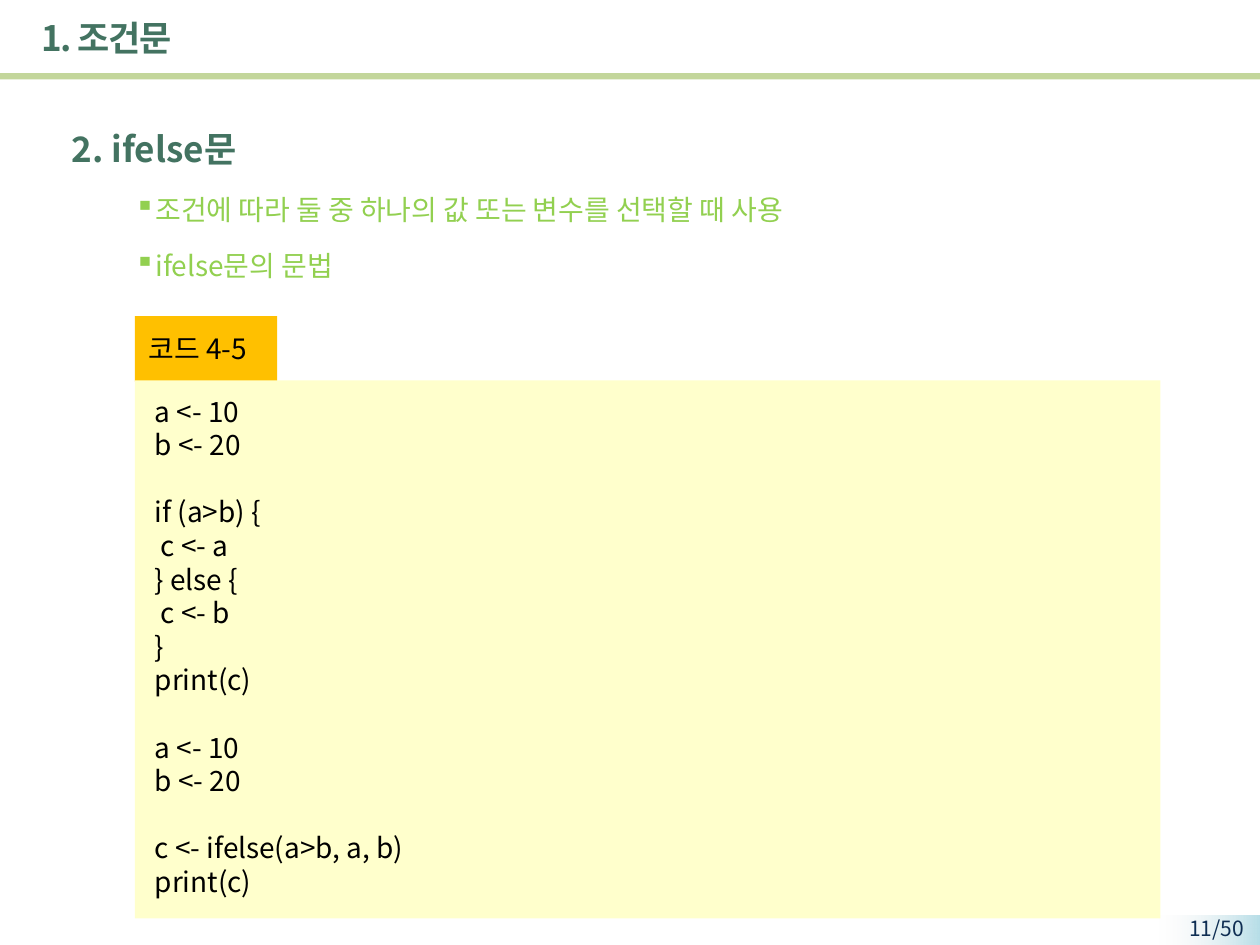
from dataclasses import dataclass

from pptx import Presentation
from pptx import util as u
from pptx.dml.color import RGBColor
from pptx.enum import shapes, text
from pptx.oxml import ns, xmlchemy


@dataclass(frozen=True)
class Theme:
    font: str = "Noto Sans CJK KR"
    head: str = "437361"
    point: str = "92D050"
    ink: str = "000000"
    page: str = "0F2E53"
    rule: str = "C3D69B"
    label: str = "FFC000"
    code: str = "FFFFCC"
    fade: tuple = ("B7DEE8", "F2F2F2")
    big: int = 20
    mid: int = 16
    small: int = 12


@dataclass(frozen=True)
class Box:
    left: float
    top: float
    width: float
    height: float

    def place(self) -> list:
        return [u.Inches(v) for v in (self.left, self.top, self.width, self.height)]


@dataclass(frozen=True)
class Line:
    words: str
    size: int
    color: str
    bold: bool = False
    before: float = 0
    pitch: float = 1
    bullet: bool = False
    track: int = 0
    align: text.PP_ALIGN = text.PP_ALIGN.LEFT


T = Theme()
CODE = """a <- 10
b <- 20

if (a>b) {
 c <- a
} else {
 c <- b
}
print(c)

a <- 10
b <- 20

c <- ifelse(a>b, a, b)
print(c)"""


def add_node(parent, tag: str, **attrs: str) -> None:
    node = xmlchemy.OxmlElement(tag)
    for key, value in attrs.items():
        node.set(key, value)
    parent.append(node)


def draw_rect(slide, box: Box, color: str = ""):
    rect = slide.shapes.add_shape(shapes.MSO_SHAPE.RECTANGLE, *box.place())
    rect.shadow.inherit = False
    rect.line.fill.background()
    if color:
        rect.fill.solid()
        rect.fill.fore_color.rgb = RGBColor.from_string(color)
    return rect


def draw_fade(slide, box: Box) -> None:
    rect = draw_rect(slide, box)
    rect.fill.gradient()
    rect.fill.gradient_angle = 180
    for stop, color in zip(rect.fill.gradient_stops, T.fade):
        stop.color.rgb = RGBColor.from_string(color)
    last = list(rect.element.iter(ns.qn("a:srgbClr")))[-1]
    add_node(last, "a:alpha", val="0")


def write_line(para, line: Line) -> None:
    form = {"alignment": line.align, "line_spacing": line.pitch,
            "space_before": u.Pt(line.before)}
    for key, value in form.items():
        setattr(para, key, value)
    if line.bullet:
        props = para._p.get_or_add_pPr()
        props.set("marL", str(u.Inches(0.5)))
        props.set("indent", "0")
        add_node(props, "a:buChar", char="▪")
    run = para.add_run()
    run.text = line.words
    face = {"name": T.font, "size": u.Pt(line.size), "bold": line.bold}
    for key, value in face.items():
        setattr(run.font, key, value)
    run.font.color.rgb = RGBColor.from_string(line.color)
    props = run._r.get_or_add_rPr()
    add_node(props, "a:ea", typeface=T.font)
    if line.track:
        props.set("spc", str(line.track))


def draw_text(slide, box: Box, lines: list[Line], wrap: bool = True,
              anchor: text.MSO_ANCHOR = text.MSO_ANCHOR.TOP) -> None:
    frame = slide.shapes.add_textbox(*box.place()).text_frame
    frame.word_wrap = wrap
    frame.vertical_anchor = anchor
    for i, line in enumerate(lines):
        write_line(frame.add_paragraph() if i else frame.paragraphs[0], line)


def code_lines() -> list[Line]:
    """Blocks are parted by the height of one line."""
    lines = []
    for block in CODE.split("\n\n"):
        for i, row in enumerate(block.split("\n")):
            gap = 1.2 * T.mid if lines and i == 0 else 0
            lines.append(Line(row, T.mid, T.ink, before=gap))
    return lines


def topic(words: str, size: int, color: str, **more) -> Line:
    return Line(words, size, color, before=0.2 * size, pitch=1.5, **more)


def main() -> None:
    deck = Presentation()
    deck.slide_width, deck.slide_height = u.Inches(10), u.Inches(7.5)
    slide = deck.slides.add_slide(deck.slide_layouts[6])

    # Page number and header rule
    draw_fade(slide, Box(9.2, 7.27, 0.8, 0.24))
    draw_text(slide, Box(9.05, 7.22, 0.92, 0.23),
              [Line("11/50", T.small, T.page, align=text.PP_ALIGN.RIGHT)])
    draw_rect(slide, Box(0, 0.58, 10, 0.05), T.rule)

    # Title and topics
    draw_text(slide, Box(0.23, 0.04, 8.51, 0.52),
              [Line("1. 조건문", T.big, T.head, bold=True, track=-100)],
              anchor=text.MSO_ANCHOR.MIDDLE)
    points = ("조건에 따라 둘 중 하나의 값 또는 변수를 선택할 때 사용", "ifelse문의 문법")
    draw_text(slide, Box(0.47, 0.8, 9.35, 6.2),
              [topic("2. ifelse문", T.big, T.head, bold=True)]
              + [topic(p, T.mid, T.point, bullet=True) for p in points])

    # Code panel with its label
    draw_rect(slide, Box(1.07, 2.51, 1.13, 0.52), T.label)
    draw_rect(slide, Box(1.07, 3.02, 8.14, 4.27), T.code)
    draw_text(slide, Box(1.08, 2.58, 1.07, 0.37),
              [Line("코드 4-5", T.mid, T.ink)], wrap=False)
    draw_text(slide, Box(1.13, 3.08, 7.76, 4.14), code_lines())

    deck.save("out.pptx")


if __name__ == "__main__":
    main()
